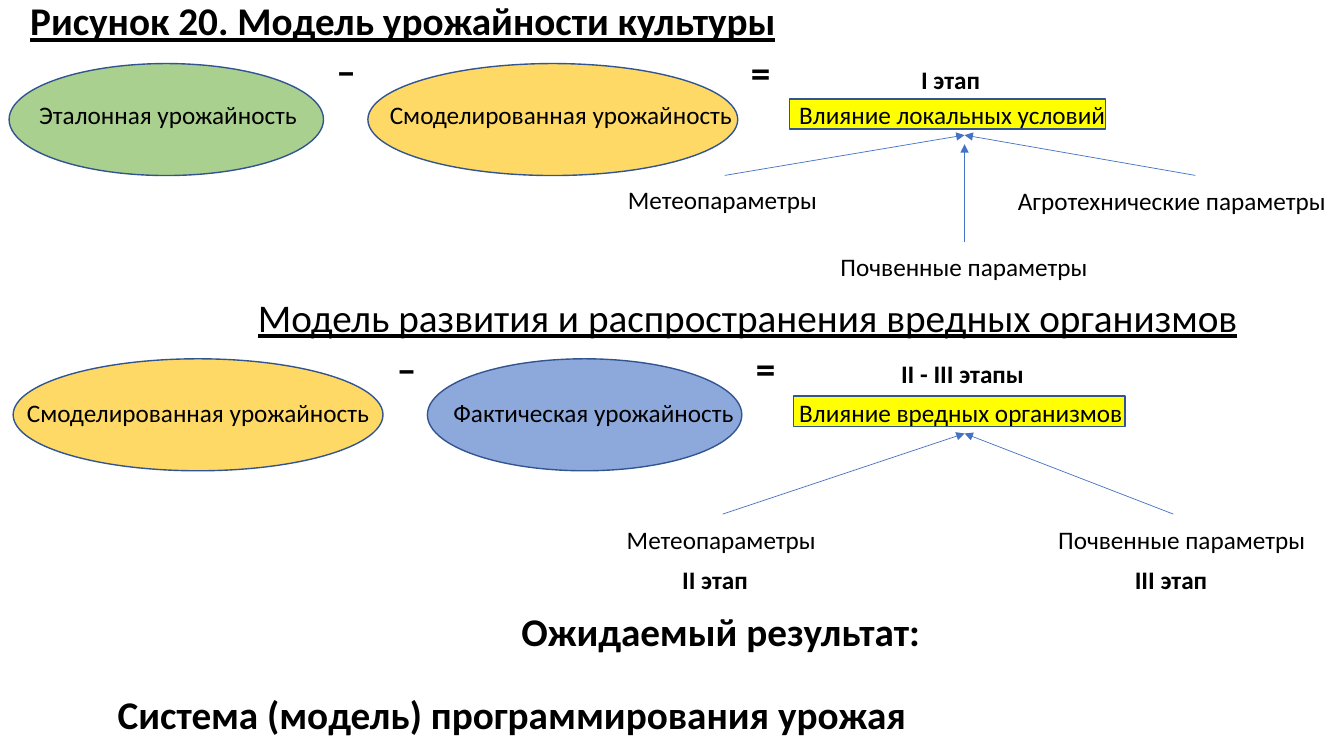
from lxml import etree
from pptx import Presentation
from pptx.dml.color import RGBColor
from pptx.enum.shapes import MSO_CONNECTOR as Conn, MSO_SHAPE as Geo
from pptx.enum.text import MSO_ANCHOR as Anchor, MSO_AUTO_SIZE as Fit, PP_ALIGN as Align
from pptx.oxml.ns import qn
from pptx.util import Pt

BLACK = RGBColor(0x00, 0x00, 0x00)
EDGE = RGBColor(0x32, 0x55, 0x91)
ARROW = RGBColor(0x44, 0x72, 0xC4)
LIGHT = RGBColor(0xFF, 0xFF, 0x00)
GOLD = RGBColor(0xFF, 0xD9, 0x66)
GREEN = RGBColor(0xA9, 0xD0, 0x8E)
BLUE = RGBColor(0x8D, 0xA9, 0xDC)

BODY = {"size": Pt(18), "name": "Calibri", "bold": False, "underline": False}
STAGE = {**BODY, "bold": True}
HEAD = {**STAGE, "size": Pt(28)}
TITLE = {**HEAD, "underline": True}
SUB = {**TITLE, "bold": False}


class Board:
    """Holds the slide and draws its elements."""

    def __init__(self, slide):
        self.slide = slide
        self.shapes = slide.shapes

    def label(self, box, text, style, align=Align.LEFT):
        frame = box.text_frame
        frame.text = text
        look = {"word_wrap": True, "auto_size": Fit.NONE,
                "vertical_anchor": Anchor.BOTTOM}
        for key, value in look.items():
            setattr(frame, key, value)
        para = frame.paragraphs[0]
        para.alignment = align
        para.line_spacing = 0.9
        font = para.runs[0].font
        for key, value in style.items():
            setattr(font, key, value)
        font.color.rgb = BLACK

    def title(self, text, left, top, width, height):
        box = self.shapes.title
        spot = {"left": left, "top": top, "width": width, "height": height}
        for key, value in spot.items():
            setattr(box, key, Pt(value))
        self.label(box, text, TITLE)

    def text(self, text, left, top, width, style=BODY, align=Align.LEFT):
        box = self.shapes.add_textbox(Pt(left), Pt(top), Pt(width), Pt(32.4))
        self.label(box, text, style, align)

    def shape(self, geo, fill, left, top, width, height):
        item = self.shapes.add_shape(geo, Pt(left), Pt(top), Pt(width), Pt(height))
        item.shadow.inherit = False
        item.fill.solid()
        item.fill.fore_color.rgb = fill
        item.line.color.rgb = EDGE
        item.line.width = Pt(1)

    def oval(self, fill, left, top, width):
        self.shape(Geo.OVAL, fill, left, top, width, 80)

    def bar(self, left, top, width):
        self.shape(Geo.RECTANGLE, LIGHT, left, top, width, 21.6)

    def arrow(self, start, end):
        link = self.shapes.add_connector(Conn.STRAIGHT, *map(Pt, start + end))
        link.line.color.rgb = ARROW
        link.line.width = Pt(0.5)
        props = link.element.spPr
        etree.SubElement(props.find(qn("a:ln")), qn("a:tailEnd"), type="triangle")
        etree.SubElement(props, qn("a:effectLst"))


def main():
    deck = Presentation()
    deck.slide_width, deck.slide_height = Pt(960), Pt(540)
    board = Board(deck.slides.add_slide(deck.slide_layouts[5]))

    # Headings
    board.title("Рисунок 20. Модель урожайности культуры", 14.4, 7.9, 705.6, 27.4)
    board.text("Модель развития и распространения вредных организмов",
               177.1, 214.6, 775.4, SUB)

    # Yield ovals and result bars
    for fill, left, top, width in (
            (GREEN, 6.5, 45.4, 224.6), (GOLD, 262.8, 45.4, 264.2),
            (GOLD, 9.4, 256.3, 264.2), (BLUE, 305.3, 256.3, 224.6)):
        board.oval(fill, left, top, width)
    board.bar(563.8, 70.6, 226)
    board.bar(566.6, 283, 237)

    # Terms of both equations
    for top, terms in (
            (64.1, (("Эталонная урожайность", 20.9, 250.6),
                    ("Смоделированная урожайность", 271.4, 283),
                    ("Влияние локальных условий", 563.8, 250.6))),
            (276.5, (("Смоделированная урожайность", 12.2, 283),
                     ("Фактическая урожайность", 316.8, 250.6),
                     ("Влияние вредных организмов", 563.8, 250.6)))):
        for text, left, width in terms:
            board.text(text, left, top, width)

    # Signs
    for sign, left, top in (("–", 233.3, 38.6), ("=", 529.2, 40),
                            ("–", 276.5, 251), ("=", 532.8, 251)):
        board.text(sign, left, top, 21.6, HEAD)

    # Parameters
    for text, left, top, width in (
            ("Метеопараметры", 441.4, 124.6, 156),
            ("Почвенные параметры", 593.3, 172.8, 196),
            ("Агротехнические параметры", 720, 125.3, 240),
            ("Метеопараметры", 440.6, 367.2, 156),
            ("Почвенные параметры", 748.8, 367.2, 196)):
        board.text(text, left, top, width)

    # Arrows to the results
    hub = 689
    for start, tip in (((517.7, 125.3), 96.5), ((hub, 172.8), 103),
                       ((853.9, 125.3), 96.5), ((516.2, 367.2), 309.6),
                       ((838.1, 367.2), 309.6)):
        board.arrow(start, (hub, tip))

    # Stages
    for text, left, top, width in (
            ("I этап", 650.9, 38.9, 69), ("II - III этапы", 636.5, 249.1, 118),
            ("II этап", 480.2, 396, 69), ("III этап", 803.5, 396, 69)):
        board.text(text, left, top, width, STAGE)

    # Expected result
    board.text("Ожидаемый результат:", 170.6, 439.2, 688.3, HEAD, Align.CENTER)
    board.text("Система (модель) программирования урожая", 77, 498.2, 776.9, HEAD)

    deck.save("out.pptx")


if __name__ == "__main__":
    main()
